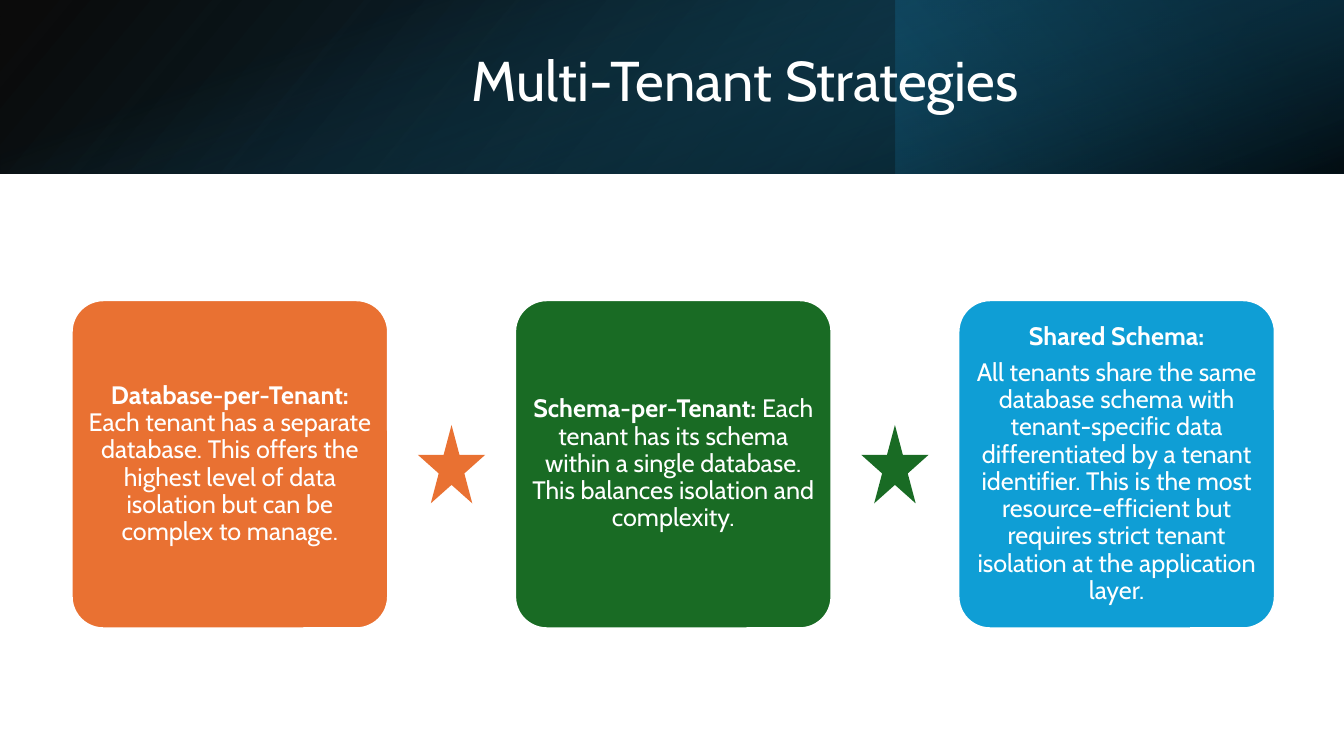
from lxml import etree
from pptx import Presentation
from pptx.dml.color import RGBColor
from pptx.enum.shapes import MSO_SHAPE
from pptx.enum.text import MSO_ANCHOR, PP_ALIGN
from pptx.oxml.ns import qn
from pptx.util import Pt

RECTANGLE = MSO_SHAPE.RECTANGLE
ROUNDED = MSO_SHAPE.ROUNDED_RECTANGLE
STAR = MSO_SHAPE.STAR_5_POINT
MIDDLE = MSO_ANCHOR.MIDDLE
CENTER = PP_ALIGN.CENTER

COLORS = {
    "white": "FFFFFF", "black": "000000", "navy": "104862", "deep": "0B3041",
    "teal": "156082", "orange": "E97132", "green": "196B24", "blue": "0F9ED5",
}
FONT = "Cabin"
PAGE_WIDTH, PAGE_HEIGHT = 960, 540
BANNER_HEIGHT = 123.84

# Each strategy: card colour, then paragraphs of (text, bold) spans.
STRATEGIES = [
    ("orange", [[("Database-per-Tenant: ", True),
                 ("Each tenant has a separate database. This offers the highest level "
                  "of data isolation but can be complex to manage.", False)]]),
    ("green", [[("Schema-per-Tenant: ", True),
                ("Each tenant has its schema within a single database. "
                 "This balances isolation and complexity.", False)]]),
    ("blue", [[("Shared Schema:", True)],
              [("All tenants share the same database schema with tenant-specific data "
                "differentiated by a tenant identifier. This is the most "
                "resource-efficient but requires strict tenant isolation at the "
                "application layer.", False)]]),
]


def color(name):
    return RGBColor.from_string(COLORS[name])


def add_plain_shape(page, kind, box):
    """Add a preset shape without shadow or outline."""
    shape = page.shapes.add_shape(kind, *map(Pt, box))
    shape.shadow.inherit = False
    shape.line.fill.background()
    return shape


def fill_solid(shape, name):
    shape.fill.solid()
    shape.fill.fore_color.rgb = color(name)


def fill_gradient(shape, stops, angle):
    """Fill with (position, colour, opacity %) stops along a clockwise angle."""
    fill = shape.fill
    fill.gradient()
    fill.gradient_angle = 360 - angle
    for stop, (position, name, _) in zip(fill.gradient_stops, stops):
        stop.position = position
        stop.color.rgb = color(name)
    tints = shape.element.spPr.iter(qn("a:srgbClr"))
    for tint, (_, _, opacity) in zip(tints, stops):
        etree.SubElement(tint, qn("a:alpha")).set("val", str(opacity * 1000))


def write_text(frame, paragraphs, size, space_after, inset_x, inset_y):
    frame_format = {
        "word_wrap": True, "vertical_anchor": MIDDLE,
        "margin_left": Pt(inset_x), "margin_right": Pt(inset_x),
        "margin_top": Pt(inset_y), "margin_bottom": Pt(inset_y),
    }
    for key, value in frame_format.items():
        setattr(frame, key, value)
    para_format = {"alignment": CENTER, "line_spacing": 0.9,
                   "space_after": Pt(space_after)}
    for index, spans in enumerate(paragraphs):
        para = frame.add_paragraph() if index else frame.paragraphs[0]
        for key, value in para_format.items():
            setattr(para, key, value)
        for text, bold in spans:
            span = para.add_run()
            span.text = text
            span_format = {"name": FONT, "size": Pt(size), "bold": bold}
            for key, value in span_format.items():
                setattr(span.font, key, value)
            span.font.color.rgb = color("white")


def add_banner(page, left, top, width, height):
    """Layer three gradients across the box and set the title on them."""
    base = add_plain_shape(page, RECTANGLE, (left, top, width, height))
    base.element.spPr.xfrm.set("flipH", "1")
    fill_gradient(base, [(0, "black", 96), (1, "navy", 100)], 140)

    third = width / 3
    corner = add_plain_shape(page, RECTANGLE,
                             (left + width - third, top, third, height))
    corner.rotation = 180
    fill_gradient(corner, [(0.19, "deep", 68), (1, "teal", 79)], 320)

    shift = (width - height) / 2
    shade = add_plain_shape(page, RECTANGLE,
                            (left + shift, top - shift, height, width))
    shade.rotation = 90
    fill_gradient(shade, [(0.23, "teal", 0), (0.99, "black", 74)], 340)

    title_box = (left + 136.8, top + 25.2, 790.5, 69.1)
    title = page.shapes.add_textbox(*map(Pt, title_box))
    write_text(title.text_frame, [[("Multi-Tenant Strategies", False)]],
               40, 6, 7.2, 3.6)


def add_card(page, left, top, width, height, name, paragraphs):
    card = add_plain_shape(page, ROUNDED, (left, top, width, height))
    card.adjustments[0] = 0.1
    fill_solid(card, name)
    card.line.color.rgb = color("white")
    card.line.width = Pt(1.5)
    write_text(card.text_frame, paragraphs, 18, 6.3, 5.4, 5.4)


def add_strategies(page, left, top, width, height):
    """Spread the cards evenly over the box, with a star in each gap."""
    card_width, star_width, star_height = 226, 48, 56
    pitch = (width - card_width) / (len(STRATEGIES) - 1)
    star_left = (card_width + pitch - star_width) / 2
    star_top = top + (height - star_height) / 2
    for index, (name, paragraphs) in enumerate(STRATEGIES):
        card_left = left + index * pitch
        add_card(page, card_left, top, card_width, height, name, paragraphs)
        if index < len(STRATEGIES) - 1:
            star = add_plain_shape(page, STAR, (card_left + star_left, star_top,
                                                star_width, star_height))
            fill_solid(star, name)


def main():
    deck = Presentation()
    deck.slide_width, deck.slide_height = Pt(PAGE_WIDTH), Pt(PAGE_HEIGHT)
    page = deck.slides.add_slide(deck.slide_layouts[6])
    add_banner(page, 0, 0, PAGE_WIDTH, BANNER_HEIGHT)
    add_strategies(page, 51.2, 214.4, 859.4, 234.4)
    deck.save("out.pptx")


if __name__ == "__main__":
    main()
